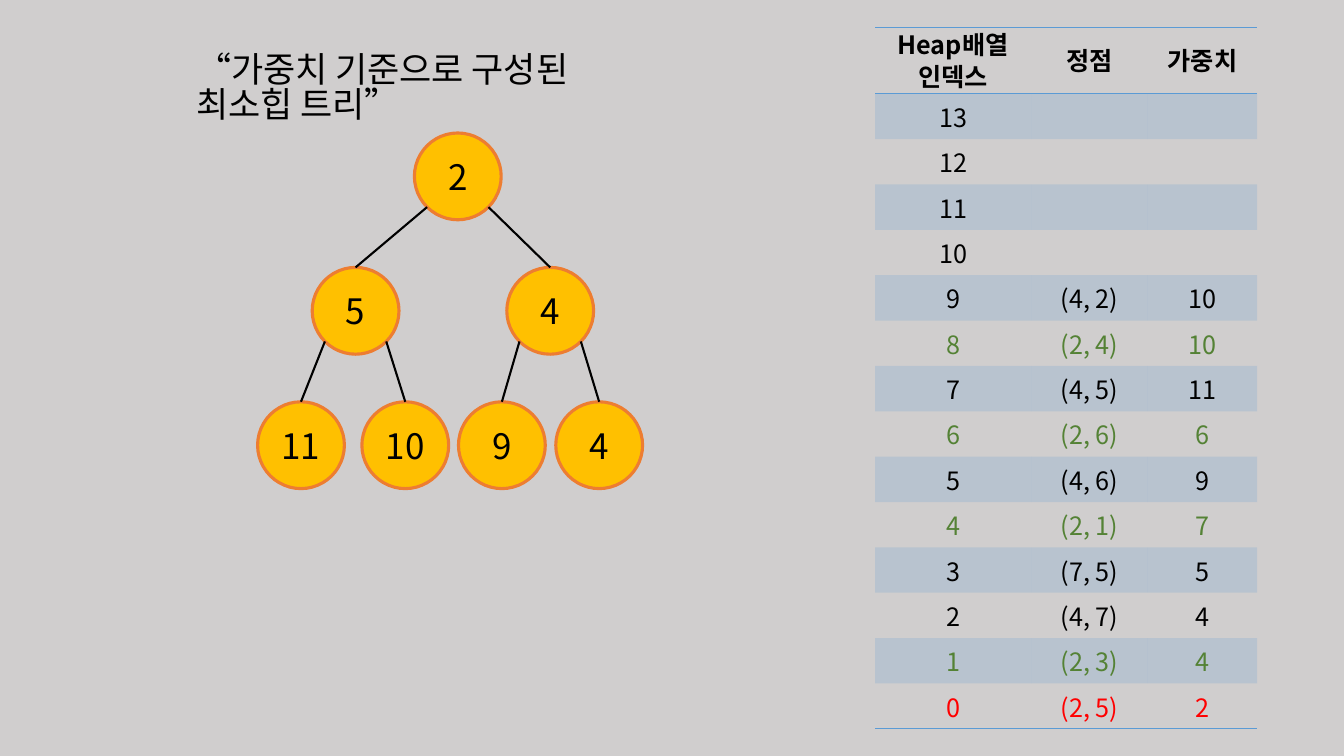
"""Build a slide with a min-heap tree and its array table."""
from lxml.etree import SubElement
from pptx import Presentation
from pptx.dml.color import RGBColor
from pptx.enum.shapes import MSO_CONNECTOR, MSO_SHAPE
from pptx.enum.text import MSO_ANCHOR, MSO_AUTO_SIZE, PP_ALIGN
from pptx.oxml.ns import qn
from pptx.util import Pt

COLORS = {"bg": "D0CECE", "node": "FFC000", "ring": "ED7D31", "blue": "5B9BD5",
          "text": "000000", "green": "548235", "red": "FF0000"}
FONT = "Noto Sans CJK KR"


def rgb(name):
    return RGBColor.from_string(COLORS[name])


def write(p, text, size, color="text", bold=False, align=PP_ALIGN.CENTER):
    p.alignment = align
    r = p.add_run()
    r.text = text
    for key, value in {"name": FONT, "size": Pt(size), "bold": bold}.items():
        setattr(r.font, key, value)
    r.font.color.rgb = rgb(color)
    SubElement(r.font._element, qn("a:ea"), typeface=FONT)


prs = Presentation()
prs.slide_width, prs.slide_height = Pt(960), Pt(540)
s = prs.slides.add_slide(prs.slide_layouts[5])
s.background.fill.solid()
s.background.fill.fore_color.rgb = rgb("bg")

title = s.shapes.title
title.left, title.top, title.width, title.height = Pt(133), Pt(35.5), Pt(343), Pt(37.5)
tf = title.text_frame
for key, value in {"word_wrap": True, "auto_size": MSO_AUTO_SIZE.NONE,
                   "vertical_anchor": MSO_ANCHOR.TOP}.items():
    setattr(tf, key, value)
write(tf.paragraphs[0], "“가중치 기준으로 구성된 최소힙 트리”", 25, align=PP_ALIGN.LEFT)
tf.paragraphs[0].line_spacing = 0.83

SIZE, TOP, STEP = 62, 95, 96
REACH = SIZE / 2 * 0.707
levels = [[(2, 296)],
          [(5, 223), (4, 362)],
          [(11, 184), (10, 258.5), (9, 327.5), (4, 397)]]
parents = []
for depth, level in enumerate(levels):
    top = TOP + STEP * depth
    nodes = []
    for i, (weight, left) in enumerate(level):
        sp = s.shapes.add_shape(MSO_SHAPE.OVAL, Pt(left), Pt(top), Pt(SIZE), Pt(SIZE))
        sp.shadow.inherit = False
        sp.fill.solid()
        sp.fill.fore_color.rgb = rgb("node")
        sp.line.color.rgb = rgb("ring")
        sp.line.width = Pt(2.25)
        sp.text_frame.word_wrap = False
        sp.text_frame.vertical_anchor = MSO_ANCHOR.MIDDLE
        write(sp.text_frame.paragraphs[0], str(weight), 25)
        nodes.append(sp)
        if parents:
            parent = parents[i // 2]
            side = 1 if i % 2 else -1
            x = parent.left + Pt(SIZE / 2 + side * REACH)
            y = parent.top + Pt(SIZE / 2 + REACH)
            edge = s.shapes.add_connector(MSO_CONNECTOR.STRAIGHT, x, y, x, y)
            edge.end_connect(sp, 0)
            edge.line.color.rgb = rgb("text")
            edge.line.width = Pt(1.5)
            SubElement(edge._element.spPr, qn("a:effectLst"))
    parents = nodes

heap = [("(2, 5)", 2), ("(2, 3)", 4), ("(4, 7)", 4), ("(7, 5)", 5), ("(2, 1)", 7),
        ("(4, 6)", 9), ("(2, 6)", 6), ("(4, 5)", 11), ("(2, 4)", 10), ("(4, 2)", 10)]
heap += [("", "")] * 4
row_colors = {0: "red", 1: "green", 4: "green", 6: "green", 8: "green"}
rows = [("Heap배열\n인덱스", "정점", "가중치")]
rows += [(i, *heap[i]) for i in reversed(range(len(heap)))]
col_widths = [111.5, 83.5, 78]
HEAD, ROW = 47.5, 32.4

table = s.shapes.add_table(len(rows), 3, Pt(625), Pt(19.5), Pt(sum(col_widths)),
                           Pt(HEAD + ROW * len(heap))).table
table.first_row = table.horz_banding = False
table._tbl.tblPr.find(qn("a:tableStyleId")).text = "{2D5ABB26-0587-4C30-8999-92F81FD0307C}"
for col, width in zip(table.columns, col_widths):
    col.width = Pt(width)
for n, values in enumerate(rows):
    table.rows[n].height = Pt(ROW if n else HEAD)
    edges = {0: ["a:lnT", "a:lnB"], len(heap): ["a:lnB"]}.get(n, [])
    for c, value in enumerate(values):
        cell = table.cell(n, c)
        for key, setting in {"margin_top": 0, "margin_bottom": 0,
                             "vertical_anchor": MSO_ANCHOR.MIDDLE}.items():
            setattr(cell, key, setting)
        for tag in edges:
            ln = SubElement(cell._tc.get_or_add_tcPr(), qn(tag), w=str(Pt(1)))
            fill = SubElement(ln, qn("a:solidFill"))
            SubElement(fill, qn("a:srgbClr"), val=COLORS["blue"])
        if n % 2:
            cell.fill.solid()
            cell.fill.fore_color.rgb = rgb("blue")
            clr = cell._tc.tcPr.find(qn("a:solidFill")).find(qn("a:srgbClr"))
            SubElement(clr, qn("a:alpha"), val="20000")
        else:
            cell.fill.background()
        if value == "":
            continue
        tf = cell.text_frame
        for k, line in enumerate(str(value).split("\n")):
            p = tf.add_paragraph() if k else tf.paragraphs[0]
            color = row_colors.get(values[0], "text")
            write(p, line, 18, color, bold=n == 0)
            if n == 0:
                p.line_spacing = 0.9

prs.save("out.pptx")
